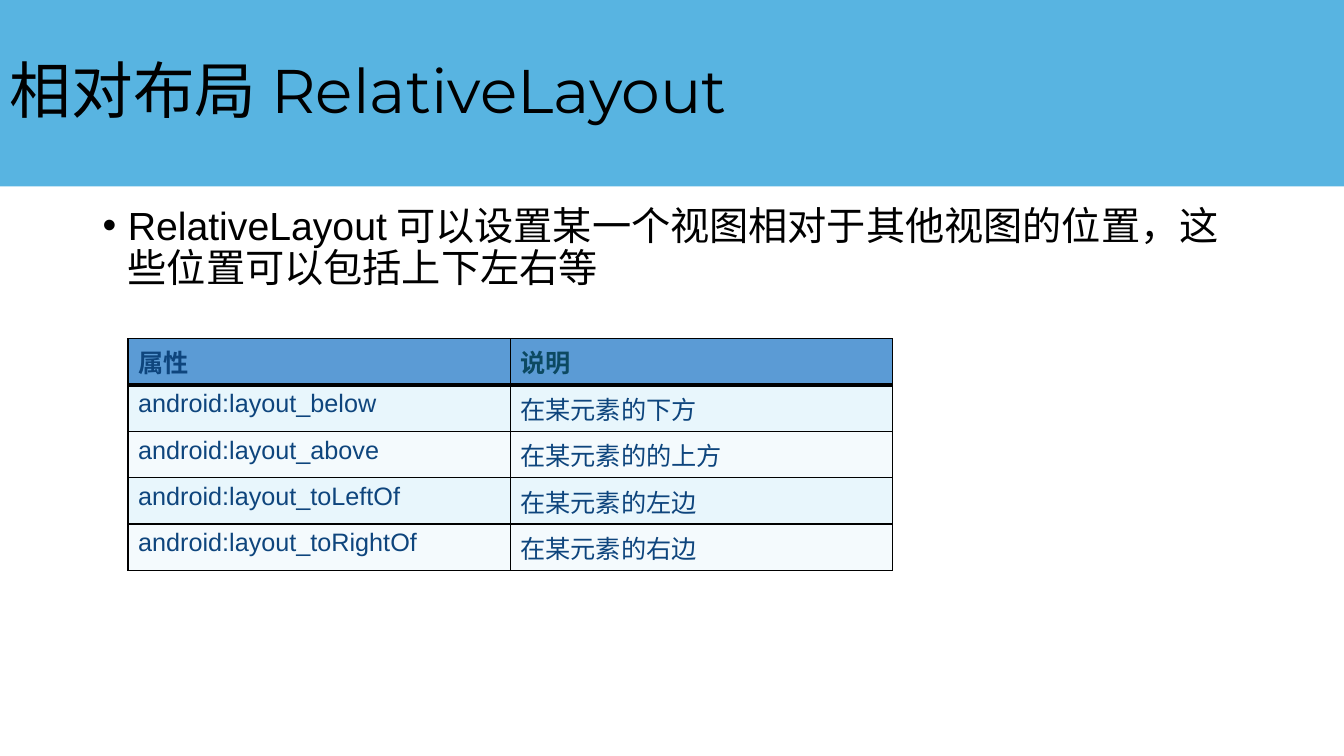
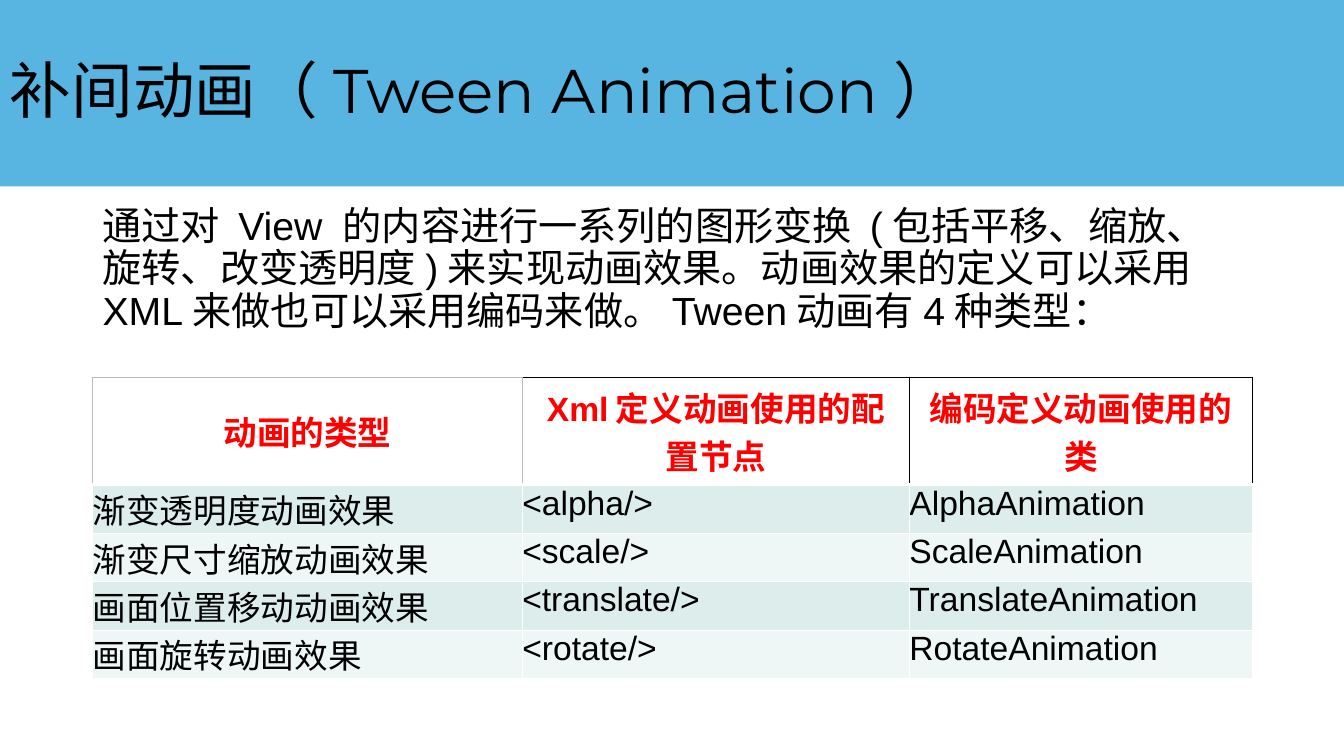
from itertools import product

from lxml import etree
from pptx import Presentation, util as u
from pptx.dml.color import RGBColor
from pptx.enum import shapes, text
from pptx.oxml.ns import qn

WIDTH, HEIGHT = 13.33, 7.5
BAND_HEIGHT = 1.85
BODY_LEFT, BODY_TOP, BODY_WIDTH, BODY_HEIGHT = 0.92, 2, 11.5, 4.76
BODY_INDENT = 0.25
LATIN, CHINESE, TITLE_FONT = "Arial", "Noto Sans CJK SC", "Montserrat"
BLACK, WHITE, GREY, RED = "000000", "FFFFFF", "BBBBBB", "FF0000"
SKY, BLUE, NAVY, TEAL = "58B4E1", "5B9BD5", "0E457D", "0C4961"

LAYOUT_ROWS = [
    ("属性", "说明"),
    ("android:layout_below", "在某元素的下方"),
    ("android:layout_above", "在某元素的的上方"),
    ("android:layout_toLeftOf", "在某元素的左边"),
    ("android:layout_toRightOf", "在某元素的右边"),
]
TWEEN_ROWS = [
    ("动画的类型", "Xml定义动画使用的配置节点", "编码定义动画使用的类"),
    ("渐变透明度动画效果", "<alpha/>", "AlphaAnimation"),
    ("渐变尺寸缩放动画效果", "<scale/>", "ScaleAnimation"),
    ("画面位置移动动画效果", "<translate/>", "TranslateAnimation"),
    ("画面旋转动画效果", "<rotate/>", "RotateAnimation"),
]


def color(value):
    return RGBColor.from_string(value)


def box(left, top, width, height):
    return [u.Inches(length) for length in (left, top, width, height)]


def style(paragraph, size, ink, latin=LATIN, bold=False):
    font = paragraph.font
    font.size = u.Pt(size)
    font.bold = bold
    font.name = latin
    font.color.rgb = color(ink)
    defaults = paragraph._p.pPr.find(qn("a:defRPr"))
    etree.SubElement(defaults, qn("a:ea"), typeface=CHINESE)


def add_title(slide, title):
    band = slide.shapes.add_shape(
        shapes.MSO_SHAPE.RECTANGLE, *box(0, 0, WIDTH, BAND_HEIGHT))
    band.shadow.inherit = False
    band.fill.solid()
    band.fill.fore_color.rgb = color(SKY)
    band.line.fill.background()
    band.text_frame.vertical_anchor = text.MSO_ANCHOR.MIDDLE
    paragraph = band.text_frame.paragraphs[0]
    paragraph.text = title
    paragraph.alignment = text.PP_ALIGN.LEFT
    paragraph.line_spacing = 0.9
    style(paragraph, 44, BLACK, TITLE_FONT)


def add_body(slide, content, bulleted=False):
    frame = slide.shapes.add_textbox(
        *box(BODY_LEFT, BODY_TOP, BODY_WIDTH, BODY_HEIGHT)).text_frame
    frame.word_wrap = True
    paragraph = frame.paragraphs[0]
    paragraph.text = content
    paragraph.line_spacing = 0.9
    if bulleted:
        properties = paragraph._p.get_or_add_pPr()
        properties.set("marL", str(u.Inches(BODY_INDENT)))
        properties.set("indent", str(-u.Inches(BODY_INDENT)))
        etree.SubElement(properties, qn("a:buFont"), typeface=LATIN)
        etree.SubElement(properties, qn("a:buChar"), char="•")
    style(paragraph, 28, BLACK)


def add_table(slide, left, top, widths, heights, rows):
    table = slide.shapes.add_table(
        len(rows), len(widths),
        *box(left, top, sum(widths), sum(heights))).table
    for column, width in zip(table.columns, widths):
        column.width = u.Inches(width)
    for row, height in zip(table.rows, heights):
        row.height = u.Inches(height)
    for row, column in product(range(len(rows)), range(len(widths))):
        table.cell(row, column).text = rows[row][column]
    return table


def set_borders(cell, **edges):
    properties = cell._tc.get_or_add_tcPr()
    for edge in "LRTB":
        ink, points = edges[edge]
        line = etree.SubElement(
            properties, qn(f"a:ln{edge}"), w=str(u.Pt(points)))
        fill = etree.SubElement(line, qn("a:solidFill"))
        etree.SubElement(fill, qn("a:srgbClr"), val=ink)


def set_fill(cell, fill):
    if fill is None:
        cell.fill.background()
    else:
        cell.fill.solid()
        cell.fill.fore_color.rgb = color(fill)


def clear_margins(cell):
    cell.margin_left = cell.margin_right = 0
    cell.margin_top = cell.margin_bottom = 0


def format_body_rows(table, size, ink, bands, line, header_line, tight):
    for row, column in product(
            range(1, len(table.rows)), range(len(table.columns))):
        cell = table.cell(row, column)
        upper = header_line if row == 1 else line
        set_borders(cell, L=line, R=line, T=upper, B=line)
        set_fill(cell, bands[(row - 1) % 2])
        if tight:
            clear_margins(cell)
        style(cell.text_frame.paragraphs[0], size, ink)


def build_layout_slide(slide):
    add_title(slide, "相对布局RelativeLayout")
    add_body(slide, "RelativeLayout可以设置某一个视图相对于其他视图的位置，"
                    "这些位置可以包括上下左右等", bulleted=True)
    table = add_table(slide, 1.27, 3.36, [3.79] * 2, [0.46] * 5, LAYOUT_ROWS)
    line, header_line = (BLACK, 1), (BLACK, 3)
    for column, ink in enumerate((NAVY, TEAL)):
        cell = table.cell(0, column)
        set_borders(cell, L=line, R=line, T=line, B=header_line)
        set_fill(cell, BLUE)
        style(cell.text_frame.paragraphs[0], 18, ink, bold=True)
    format_body_rows(table, 18, NAVY, ("E8F6FC", "F4FAFD"),
                     line, header_line, tight=False)


def build_tween_slide(slide):
    add_title(slide, "补间动画（Tween Animation）")
    add_body(slide, "通过对 View 的内容进行一系列的图形变换 (包括平移、缩放、旋转、"
                    "改变透明度)来实现动画效果。动画效果的定义可以采用XML来做"
                    "也可以采用编码来做。Tween动画有4种类型：")
    table = add_table(slide, BODY_LEFT, 3.74, [4.26, 3.84, 3.4],
                      [1.07] + [0.48] * 4, TWEEN_ROWS)
    grey, black = (GREY, 0.75), (BLACK, 0.75)
    line, header_line = (WHITE, 0.75), (WHITE, 2.25)
    edges = [(grey, grey, grey), (grey, black, black), (black, black, black)]
    for column, (left, right, upper) in enumerate(edges):
        cell = table.cell(0, column)
        set_borders(cell, L=left, R=right, T=upper, B=header_line)
        set_fill(cell, None)
        cell.vertical_anchor = text.MSO_ANCHOR.MIDDLE
        paragraph = cell.text_frame.paragraphs[0]
        paragraph.alignment = text.PP_ALIGN.CENTER
        style(paragraph, 24, RED, bold=True)
    clear_margins(table.cell(0, 0))
    format_body_rows(table, 24, BLACK, ("DDEDEC", "EFF6F6"),
                     line, header_line, tight=True)


def main():
    presentation = Presentation()
    presentation.slide_width = u.Inches(WIDTH)
    presentation.slide_height = u.Inches(HEIGHT)
    blank = presentation.slide_layouts[6]
    for build in (build_layout_slide, build_tween_slide):
        build(presentation.slides.add_slide(blank))
    presentation.save("out.pptx")


if __name__ == "__main__":
    main()
